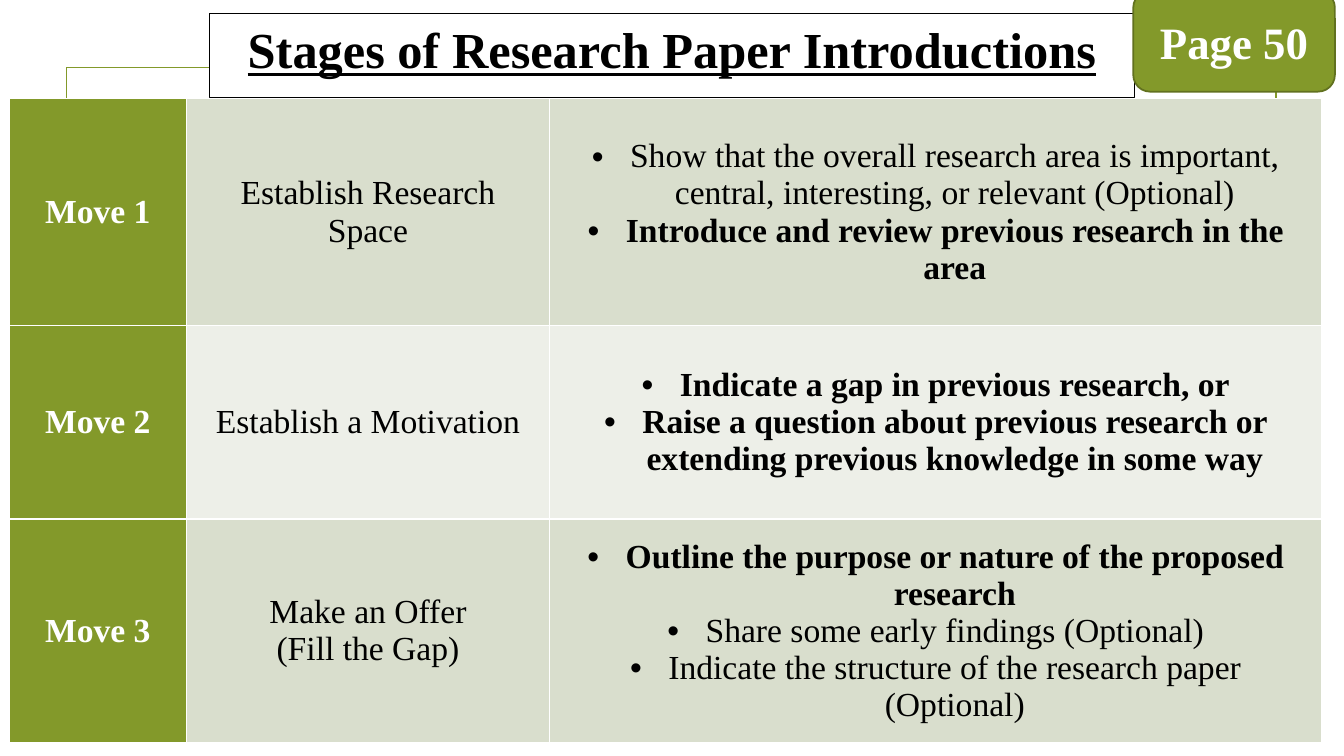
from dataclasses import dataclass

from lxml.etree import SubElement
from pptx import Presentation
from pptx.dml.color import RGBColor
from pptx.enum.shapes import MSO_SHAPE as Preset
from pptx.enum.text import MSO_ANCHOR as Anchor, MSO_AUTO_SIZE as AutoSize, PP_ALIGN as Align
from pptx.oxml.ns import qn
from pptx.util import Inches, Pt


@dataclass(frozen=True)
class Theme:
    font: str = "Times New Roman"
    green: str = "83992A"
    dark_green: str = "61711F"
    bands: tuple = ("D9DECD", "EDEFE8")
    black: str = "000000"
    white: str = "FFFFFF"
    title_size: int = 36
    badge_size: int = 32
    body_size: int = 24


THEME = Theme()

# Each move: label, aim, steps as (wording, is bold)
MOVES = [
    ("Move 1", "Establish Research Space", [
        ("Show that the overall research area is important, central, interesting, "
         "or relevant (Optional)", False),
        ("Introduce and review previous research in the area", True)]),
    ("Move 2", "Establish a Motivation", [
        ("Indicate a gap in previous research, or", True),
        ("Raise a question about previous research or extending previous knowledge "
         "in some way", True)]),
    ("Move 3", "Make an Offer\n(Fill the Gap)", [
        ("Outline the purpose or nature of the proposed research", True),
        ("Share some early findings (Optional)", False),
        ("Indicate the structure of the research paper (Optional)", False)]),
]
COLUMN_WIDTHS = (1.76, 3.6, 7.66)
ROW_HEIGHTS = (2.25, 1.92, 2.22)


def paint(fill, color):
    fill.solid()
    fill.fore_color.rgb = RGBColor.from_string(color)


def outline(shape, color, width):
    paint(shape.line.fill, color)
    shape.line.width = Pt(width)


def write(para, text, size, color, **formats):
    para.text = text
    para.alignment = Align.CENTER
    values = {"name": THEME.font, "size": Pt(size), **formats}
    for span in para.runs:
        for name, value in values.items():
            setattr(span.font, name, value)
        span.font.color.rgb = RGBColor.from_string(color)


def add_bullet(para):
    properties = para._p.get_or_add_pPr()
    properties.set("marL", str(Inches(0.38)))
    properties.set("indent", str(-Inches(0.38)))
    SubElement(properties, qn("a:buFont"), typeface="Arial")
    SubElement(properties, qn("a:buChar"), char="•")


def style_cell(cell, color):
    cell.vertical_anchor = Anchor.MIDDLE
    properties = cell._tc.get_or_add_tcPr()
    for side in ("lnL", "lnR", "lnT", "lnB"):
        border = SubElement(properties, qn(f"a:{side}"), w=str(Pt(1)))
        SubElement(SubElement(border, qn("a:solidFill")), qn("a:srgbClr"), val=THEME.white)
    paint(cell.fill, color)


def add_frame(page, box):
    frame = page.shapes.add_shape(Preset.RECTANGLE, *map(Inches, box))
    frame.shadow.inherit = False
    frame.fill.background()
    outline(frame, THEME.green, 1.25)


def add_moves_table(page, box):
    table = page.shapes.add_table(len(MOVES), len(COLUMN_WIDTHS), *map(Inches, box)).table
    table.first_row = table.horz_banding = False
    for column, width in zip(table.columns, COLUMN_WIDTHS):
        column.width = Inches(width)
    for index, (label, aim, steps) in enumerate(MOVES):
        table.rows[index].height = Inches(ROW_HEIGHTS[index])
        band = THEME.bands[index % 2]
        contents = (([(label, True)], THEME.green, THEME.white),
                    ([(aim, False)], band, THEME.black),
                    (steps, band, THEME.black))
        for column, (lines, fill, color) in enumerate(contents):
            cell = table.cell(index, column)
            style_cell(cell, fill)
            for number, (text, bold) in enumerate(lines):
                frame = cell.text_frame
                para = frame.add_paragraph() if number else frame.paragraphs[0]
                if lines is steps:
                    add_bullet(para)
                write(para, text, THEME.body_size, color, bold=bold)


def add_title(page, box):
    title = page.shapes.title
    title.left, title.top, title.width, title.height = map(Inches, box)
    # Bring the title in front of the frame line
    title.element.getparent().append(title.element)
    paint(title.fill, THEME.white)
    outline(title, THEME.black, 0.75)
    frame = title.text_frame
    for name, value in {"word_wrap": True, "auto_size": AutoSize.SHAPE_TO_FIT_TEXT,
                        "vertical_anchor": Anchor.TOP}.items():
        setattr(frame, name, value)
    para = frame.paragraphs[0]
    write(para, "Stages of Research Paper Introductions", THEME.title_size, THEME.black,
          bold=True, underline=True)


def add_page_badge(page, box):
    badge = page.shapes.add_shape(Preset.ROUNDED_RECTANGLE, *map(Inches, box))
    badge.shadow.inherit = False
    paint(badge.fill, THEME.green)
    outline(badge, THEME.dark_green, 1.25)
    badge.text_frame.vertical_anchor = Anchor.MIDDLE
    write(badge.text_frame.paragraphs[0], "Page 50", THEME.badge_size, THEME.white, bold=True)


def main():
    deck = Presentation()
    deck.slide_width, deck.slide_height = Inches(13.33), Inches(7.5)
    page = deck.slides.add_slide(deck.slide_layouts[5])
    paint(page.background.fill, THEME.white)
    add_frame(page, (0.66, 0.67, 12, 6.17))
    add_moves_table(page, (0.09, 0.98, sum(COLUMN_WIDTHS), sum(ROW_HEIGHTS)))
    add_title(page, (2.08, 0.13, 9.17, 0.71))
    add_page_badge(page, (11.24, -0.09, 2, 1))
    deck.save("out.pptx")


if __name__ == "__main__":
    main()
